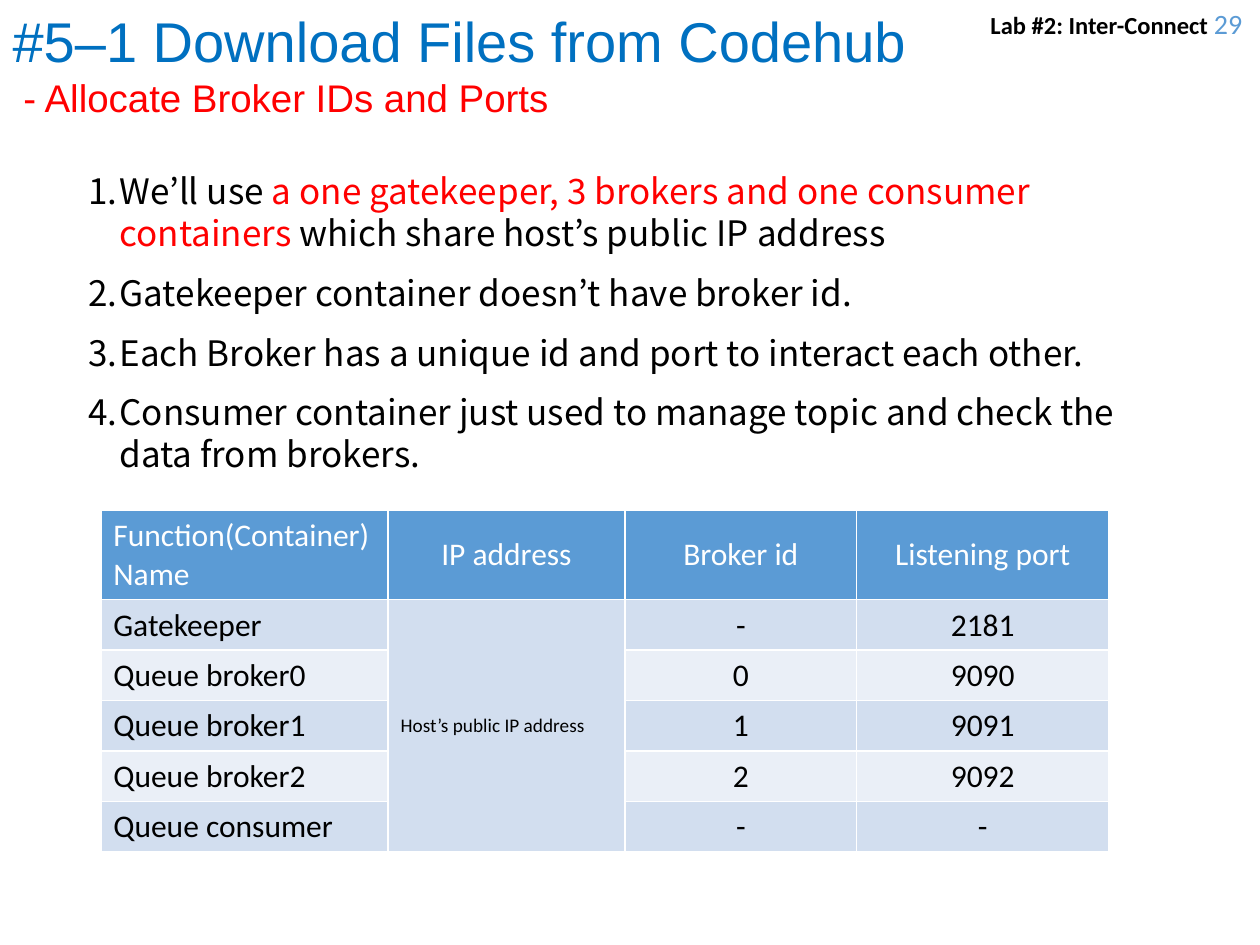
from lxml.etree import SubElement
from pptx import Presentation
from pptx.dml.color import RGBColor
from pptx.enum.text import MSO_ANCHOR, MSO_AUTO_SIZE, PP_ALIGN
from pptx.oxml.ns import qn
from pptx.util import Inches, Pt

BLACK = RGBColor(0x00, 0x00, 0x00)
WHITE = RGBColor(0xFF, 0xFF, 0xFF)
RED = RGBColor(0xFF, 0x00, 0x00)
BLUE = RGBColor(0x00, 0x70, 0xC0)
SKY = RGBColor(0x5B, 0x9B, 0xD5)
DARK = RGBColor(0xD2, 0xDE, 0xEF)
LIGHT = RGBColor(0xEA, 0xEF, 0xF7)


def write(para, text, color, **form):
    run = para.add_run()
    run.text = text
    run.font.color.rgb = color
    for key, value in form.items():
        setattr(run.font, key, value)


def place(shape, left, top, width, height):
    box = {"left": left, "top": top, "width": width, "height": height}
    for key, value in box.items():
        setattr(shape, key, Inches(value))


deck = Presentation()
deck.slide_width = Inches(10)
deck.slide_height = Inches(7.5)
slide = deck.slides.add_slide(deck.slide_layouts[5])

title = slide.shapes.title
place(title, 0, 0, 7.36, 1.01)
title.fill.solid()
title.fill.fore_color.rgb = WHITE
frame = title.text_frame
look = {"word_wrap": True, "auto_size": MSO_AUTO_SIZE.NONE, "vertical_anchor": MSO_ANCHOR.TOP}
for key, value in look.items():
    setattr(frame, key, value)
heads = [
    (frame.paragraphs[0], "#5–1 Download Files from Codehub", BLUE, 32),
    (frame.add_paragraph(), " - Allocate Broker IDs and Ports", RED, 22),
]
for para, text, color, size in heads:
    para.alignment = PP_ALIGN.LEFT
    para.space_before = Pt(0)
    write(para, text, color, name="Arial", size=Pt(size))

label = slide.shapes.add_textbox(Inches(7.72), Inches(0), Inches(2.28), Inches(0.4))
label.text_frame.word_wrap = True
para = label.text_frame.paragraphs[0]
para.alignment = PP_ALIGN.CENTER
write(para, "Lab #2: Inter-Connect ", BLACK, name="Calibri", size=Pt(14), bold=True)
write(para, "29", SKY, name="Calibri", size=Pt(16), bold=False)

steps = [
    [
        ("We’ll use ", BLACK),
        ("a one gatekeeper, 3 brokers and one consumer containers ", RED),
        ("which share host’s public IP address", BLACK),
    ],
    [("Gatekeeper container doesn’t have broker id.", BLACK)],
    [("Each Broker has a unique id and port to interact each other.", BLACK)],
    [("Consumer container just used to manage topic and check the data from brokers.", BLACK)],
]
body = slide.shapes.add_textbox(Inches(0.6), Inches(1.3), Inches(8.42), Inches(4.24))
frame = body.text_frame
frame.word_wrap = True
for num, step in enumerate(steps):
    para = frame.add_paragraph() if num else frame.paragraphs[0]
    para.space_before = Pt(10)
    para.line_spacing = 1.0
    props = para._p.get_or_add_pPr()
    props.set("marL", str(Inches(0.25)))
    props.set("indent", str(Inches(-0.25)))
    SubElement(props, qn("a:buAutoNum"), type="arabicPeriod")
    for text, color in step:
        write(para, text, color, name="Noto Sans CJK KR", size=Pt(20))

rows = [
    ["Function(Container) Name", "IP address", "Broker id", "Listening port"],
    ["Gatekeeper", "Host’s public IP address", "-", "2181"],
    ["Queue broker0", "", "0", "9090"],
    ["Queue broker1", "", "1", "9091"],
    ["Queue broker2", "", "2", "9092"],
    ["Queue consumer", "", "-", "-"],
]
grid = slide.shapes.add_table(
    len(rows), 4, Inches(0.8), Inches(4.05), Inches(8), Inches(2.73)
).table
for col, width in zip(grid.columns, [2.28, 1.88, 1.84, 2]):
    col.width = Inches(width)
grid.cell(1, 1).merge(grid.cell(5, 1))
for r, row in enumerate(rows):
    grid.rows[r].height = Inches(0.4 if r else 0.71)
    for c, text in enumerate(row):
        cell = grid.cell(r, c)
        cell.fill.solid()
        cell.fill.fore_color.rgb = SKY if r == 0 else DARK if r % 2 else LIGHT
        if cell.is_spanned:
            continue
        host = cell.is_merge_origin
        if r == 0 or host:
            cell.vertical_anchor = MSO_ANCHOR.MIDDLE
        para = cell.text_frame.paragraphs[0]
        para.alignment = PP_ALIGN.LEFT if c == 0 or host else PP_ALIGN.CENTER
        color = BLACK if r else WHITE
        write(para, text, color, name="Calibri", size=Pt(11 if host else 18), bold=False)

deck.save("out.pptx")
